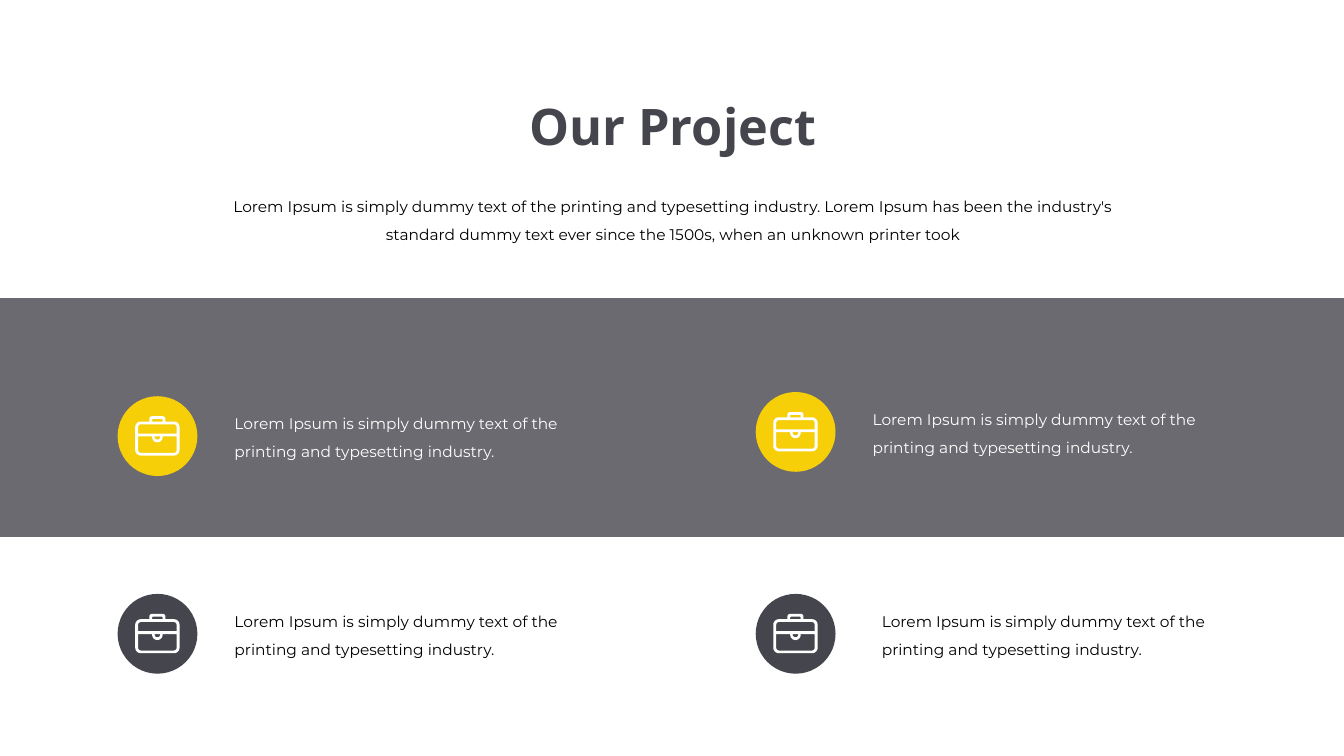
from math import cos, dist, pi, sin

from lxml.etree import SubElement
from pptx import Presentation
from pptx.dml.color import RGBColor
from pptx.enum.shapes import MSO_SHAPE
from pptx.enum.text import MSO_ANCHOR, MSO_AUTO_SIZE, PP_ALIGN
from pptx.oxml.ns import qn
from pptx.util import Pt

CHARCOAL = RGBColor(0x45, 0x45, 0x4D)
YELLOW = RGBColor(0xF6, 0xCF, 0x08)
WHITE = RGBColor(0xFF, 0xFF, 0xFF)
BLACK = RGBColor(0x00, 0x00, 0x00)

CIRCLE_SIZE = 57
ARC_STEPS = 6

# Briefcase contours: corners as (x, y, radius), from the icon's top left
BRIEFCASE = [
    # Outline with handle
    [(0, 3.8, 4), (10.1, 3.8, 0), (10.1, 0, 2), (21.6, 0, 2),
     (21.6, 3.8, 0), (31.7, 3.8, 4), (31.7, 28.1, 4), (0, 28.1, 4)],
    # Handle opening
    [(12.1, 2, 0.7), (19.6, 2, 0.7), (19.6, 3.8, 0), (12.1, 3.8, 0)],
    # Upper part
    [(2.1, 5.8, 2), (29.6, 5.8, 2), (29.6, 12.4, 0), (2.1, 12.4, 0)],
    # Lower part, notched around the clasp
    [(2.1, 14.4, 0), (12.1, 14.4, 0), (12.1, 18.7, 3.75), (19.6, 18.7, 3.75),
     (19.6, 14.4, 0), (29.6, 14.4, 0), (29.6, 26.2, 2), (2.1, 26.2, 2)],
    # Clasp opening
    [(13.8, 14.4, 0), (17.9, 14.4, 0), (17.9, 16.7, 2), (13.8, 16.7, 2)],
]


def rounded_outline(corners, left, top):
    """Return the points of a polygon whose corners are rounded by their radii."""
    points = []
    for i, (x, y, radius) in enumerate(corners):
        before, after = corners[i - 1][:2], corners[(i + 1) % len(corners)][:2]
        ux, uy = [(b - c) / dist(before, (x, y)) for b, c in zip(before, (x, y))]
        vx, vy = [(a - c) / dist(after, (x, y)) for a, c in zip(after, (x, y))]
        for step in range(ARC_STEPS + 1 if radius else 1):
            angle = pi / 2 * step / ARC_STEPS
            u, v = radius * (1 - sin(angle)), radius * (1 - cos(angle))
            points.append((Pt(left + x + u * ux + v * vx),
                           Pt(top + y + u * uy + v * vy)))
    return points


def add_body_text(left, top, width, wording, color, alignment):
    frame = slide.shapes.add_textbox(Pt(left), Pt(top), Pt(width), Pt(45.4)).text_frame
    frame.word_wrap = True
    frame.auto_size = MSO_AUTO_SIZE.SHAPE_TO_FIT_TEXT
    paragraph = frame.paragraphs[0]
    paragraph.alignment = alignment
    paragraph.line_spacing = 1.5
    run = paragraph.add_run()
    run.text = wording
    run.font.name = "Montserrat"
    run.font.size = Pt(11)
    run.font.color.rgb = color


presentation = Presentation()
presentation.slide_width = Pt(960)
presentation.slide_height = Pt(540)
slide = presentation.slides.add_slide(presentation.slide_layouts[5])
slide.background.fill.solid()
slide.background.fill.fore_color.rgb = WHITE

# Heading and introduction
title = slide.shapes.title
title.left, title.top, title.width, title.height = Pt(205), Pt(64.5), Pt(551), Pt(51)
title.text_frame.word_wrap = True
title.text_frame.auto_size = MSO_AUTO_SIZE.SHAPE_TO_FIT_TEXT
title.text_frame.vertical_anchor = MSO_ANCHOR.TOP
heading = title.text_frame.paragraphs[0]
heading.alignment = PP_ALIGN.CENTER
heading_run = heading.add_run()
heading_run.text = "Our Project"
heading_run.font.name = "Open Sans"
heading_run.font.size = Pt(36)
heading_run.font.bold = True
heading_run.font.color.rgb = CHARCOAL

add_body_text(
    147.3, 131, 667.4,
    "Lorem Ipsum is simply dummy text of the printing and typesetting industry. "
    "Lorem Ipsum has been the industry's standard dummy text ever since the 1500s, "
    "when an unknown printer took",
    BLACK, PP_ALIGN.CENTER)

# Translucent band
band = slide.shapes.add_shape(MSO_SHAPE.RECTANGLE, 0, Pt(213), Pt(960), Pt(170.6))
band.shadow.inherit = False
band.fill.solid()
band.fill.fore_color.rgb = CHARCOAL
band.line.fill.background()
band_color = band.fill._xPr.find(qn("a:solidFill"))[0]
SubElement(band_color, qn("a:alpha")).set("val", "80000")

# Projects: circle left, circle top, text left, circle colour, text colour
projects = [
    (84, 283, 160.4, YELLOW, WHITE),
    (539.8, 280, 616.2, YELLOW, WHITE),
    (84, 424.2, 160.4, CHARCOAL, BLACK),
    (539.8, 424.2, 622.8, CHARCOAL, BLACK),
]
for left, top, text_left, circle_color, text_color in projects:
    circle = slide.shapes.add_shape(
        MSO_SHAPE.OVAL, Pt(left), Pt(top), Pt(CIRCLE_SIZE), Pt(CIRCLE_SIZE))

    contours = [rounded_outline(c, left + 12.6, top + 14.3) for c in BRIEFCASE]
    builder = slide.shapes.build_freeform(*contours[0][0])
    for contour in contours:
        if contour is not contours[0]:
            builder.move_to(*contour[0])
        builder.add_line_segments(contour[1:], close=True)
    briefcase = builder.convert_to_shape()

    for part, color in ((circle, circle_color), (briefcase, WHITE)):
        part.shadow.inherit = False
        part.fill.solid()
        part.fill.fore_color.rgb = color
        part.line.fill.background()

    add_body_text(
        text_left, top + 2.9, 273,
        "Lorem Ipsum is simply dummy text of the printing and typesetting industry.",
        text_color, PP_ALIGN.LEFT)

presentation.save("out.pptx")
